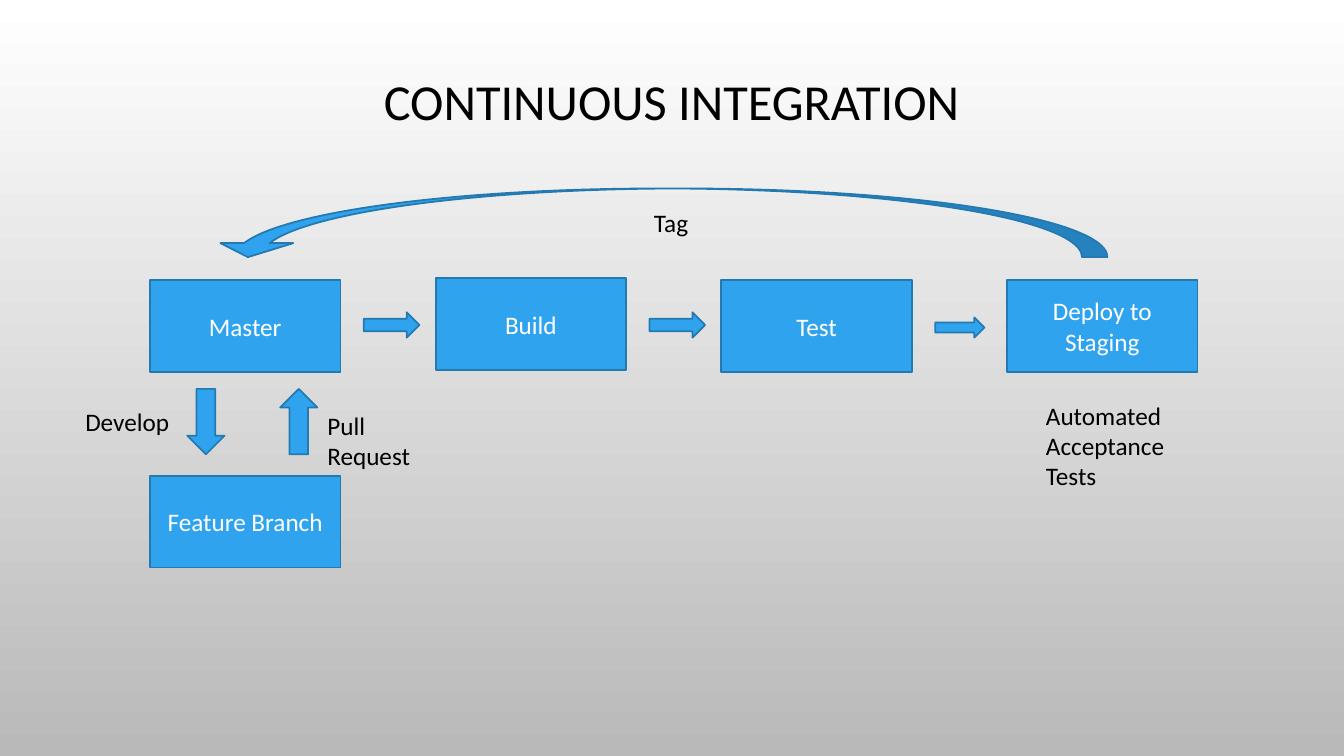
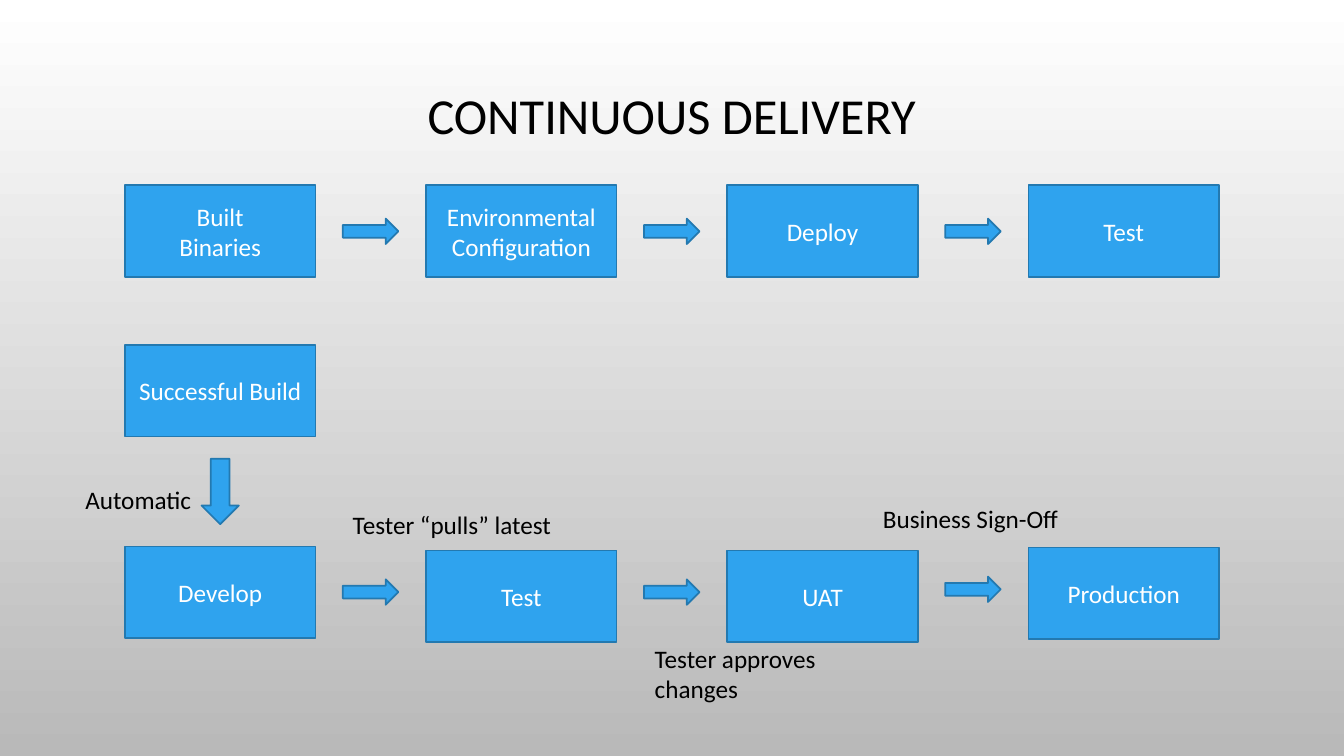
from dataclasses import dataclass

from pptx import Presentation as Deck
from pptx.dml.color import RGBColor as Rgb
from pptx.enum.shapes import MSO_SHAPE as Kind
from pptx.enum.text import MSO_ANCHOR as Anchor, MSO_AUTO_SIZE as Fit, PP_ALIGN as Align
from pptx.oxml.ns import qn
from pptx.shapes.autoshape import Shape
from pptx.slide import Slide
from pptx.text.text import TextFrame as Frame
from pptx.util import Cm, Pt


@dataclass(frozen=True)
class Theme:
    font: str = "Calibri"
    ink: Rgb = Rgb(0, 0, 0)
    light: Rgb = Rgb(255, 255, 255)
    grey: Rgb = Rgb(0xB9, 0xB9, 0xB9)
    fill: Rgb = Rgb(0x2F, 0xA3, 0xEE)
    edge: Rgb = Rgb(0x23, 0x79, 0xB0)
    head: float = 36
    body: float = 18
    line: float = 1.25


# All lengths below are in centimetres
@dataclass(frozen=True)
class Area:
    left: float
    top: float
    width: float
    height: float


@dataclass(frozen=True)
class Step:
    text: str
    top: float


@dataclass(frozen=True)
class Label:
    text: str
    left: float
    top: float
    width: float
    height: float = 1.02


@dataclass(frozen=True)
class Grid:
    left: float
    pitch: float
    shift: float  # from a box's left edge to the arrow after it


THEME = Theme()
BOX = (4.8, 2.31)
ACROSS = (1.4, 0.64)
UPRIGHT = (0.94, 1.65)


# Shared drawing
def style(frame: Frame, size: float, color: Rgb, align: Align) -> None:
    for para in frame.paragraphs:
        para.alignment = align
        for run in para.runs:
            run.font.name = THEME.font
            run.font.size = Pt(size)
            run.font.color.rgb = color


def place(item: Shape, area: Area) -> None:
    item.left, item.top = Cm(area.left), Cm(area.top)
    item.width, item.height = Cm(area.width), Cm(area.height)


def draw(slide: Slide, kind: Kind, area: Area) -> Shape:
    shape = slide.shapes.add_shape(
        kind, Cm(area.left), Cm(area.top), Cm(area.width), Cm(area.height))
    shape.shadow.inherit = False
    shape.fill.solid()
    shape.fill.fore_color.rgb = THEME.fill
    shape.line.color.rgb = THEME.edge
    shape.line.width = Pt(THEME.line)
    return shape


def box(slide: Slide, left: float, step: Step) -> None:
    frame = draw(slide, Kind.FLOWCHART_PROCESS, Area(left, step.top, *BOX)).text_frame
    frame.text = step.text
    frame.word_wrap = True
    frame.vertical_anchor = Anchor.MIDDLE
    style(frame, THEME.body, THEME.light, Align.CENTER)


def row(slide: Slide, grid: Grid, steps: list[Step],
        tops: list[float], last: tuple[float, float] = ACROSS) -> None:
    """Draw the boxes of a flow and the arrows between them."""
    for i, step in enumerate(steps):
        box(slide, grid.left + i * grid.pitch, step)
    for i, top in enumerate(tops):
        left = grid.left + grid.shift + i * grid.pitch
        size = last if i == len(tops) - 1 else ACROSS
        draw(slide, Kind.RIGHT_ARROW, Area(left, top, *size))


def write(slide: Slide, labels: list[Label]) -> None:
    for label in labels:
        frame = slide.shapes.add_textbox(
            Cm(label.left), Cm(label.top), Cm(label.width), Cm(label.height)).text_frame
        frame.text = label.text
        frame.word_wrap = True
        frame.auto_size = Fit.SHAPE_TO_FIT_TEXT
        style(frame, THEME.body, THEME.ink, Align.LEFT)


def start(deck: Deck, text: str, area: Area) -> Slide:
    slide = deck.slides.add_slide(deck.slide_layouts[5])
    title = slide.shapes.title
    place(title, area)
    frame = title.text_frame
    frame.text = text
    frame.vertical_anchor = Anchor.MIDDLE
    frame.paragraphs[0].line_spacing = 0.9
    style(frame, THEME.head, THEME.ink, Align.CENTER)
    return slide


def shade(deck: Deck) -> None:
    fill = deck.slide_master.background.fill
    fill.gradient()
    fill.gradient_angle = 270
    for stop, color, spot in zip(fill.gradient_stops, (THEME.light, THEME.grey), (0, 1)):
        stop.color.rgb = color
        stop.position = spot


# Slide 1: the loop from master to staging
def merge(deck: Deck) -> None:
    slide = start(deck, "CONTINUOUS INTEGRATION", Area(2.54, 1.17, 28.78, 2.92))
    grid = Grid(3.78, 7.2, 5.39)
    row(slide, grid,
        [Step("Master", 7.06), Step("Build", 7.01),
         Step("Test", 7.06), Step("Deploy to Staging", 7.06)],
        [7.87, 7.87, 8], last=(1.24, 0.51))
    box(slide, grid.left, Step("Feature Branch", 11.99))
    draw(slide, Kind.DOWN_ARROW, Area(4.72, 9.8, *UPRIGHT))
    draw(slide, Kind.UP_ARROW, Area(7.06, 9.8, *UPRIGHT))

    # Return arrow, mirrored to point at master
    back = draw(slide, Kind.CURVED_DOWN_ARROW, Area(5.33, 4.75, 22.58, 1.73))
    for i, value in enumerate((0.371, 1.063, 0.204)):
        back.adjustments[i] = value
    back._element.spPr.find(qn("a:xfrm")).set("flipH", "1")

    write(slide, [
        Label("Pull Request", 8, 10.21, 3.61),
        Label("Develop", 1.9, 10.11, 2.84),
        Label("Tag", 16.23, 5.11, 1.47),
        Label("Automated Acceptance Tests", 26.11, 9.96, 3.61, 2.57),
    ])


# Slide 2: from a build to production
def ship(deck: Deck) -> None:
    slide = start(deck, "CONTINUOUS DELIVERY", Area(2.54, 1.73, 28.78, 2.49))
    grid = Grid(3.15, 7.59, 5.49)
    names = ("Built\nBinaries", "Environmental Configuration", "Deploy", "Test")
    row(slide, grid, [Step(name, 4.67) for name in names], [5.51] * 3)
    box(slide, grid.left, Step("Successful Build", 8.69))
    draw(slide, Kind.DOWN_ARROW, Area(5.08, 11.56, *UPRIGHT))
    row(slide, grid,
        [Step("Develop", 13.77), Step("Test", 13.87),
         Step("UAT", 13.87), Step("Production", 13.8)],
        [14.6, 14.6, 14.53])
    write(slide, [
        Label("Automatic", 1.9, 12.07, 3.61),
        Label("Tester “pulls” latest", 8.64, 12.7, 5.77),
        Label("Tester approves changes", 16.25, 16.08, 5.77, 1.8),
        Label("Business Sign-Off", 22, 12.57, 5.77),
    ])


def main() -> None:
    deck = Deck()
    deck.slide_width, deck.slide_height = Cm(33.87), Cm(19.05)
    shade(deck)
    merge(deck)
    ship(deck)
    deck.save("out.pptx")


if __name__ == "__main__":
    main()
